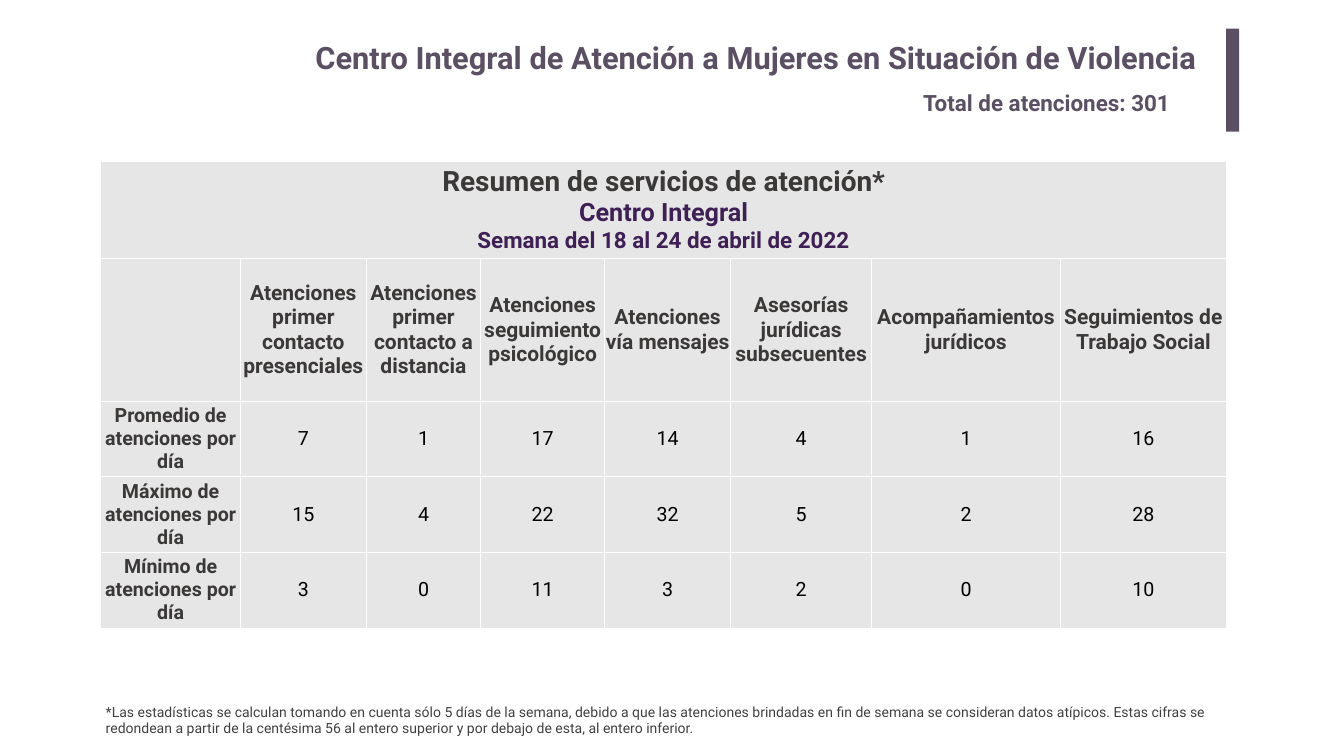
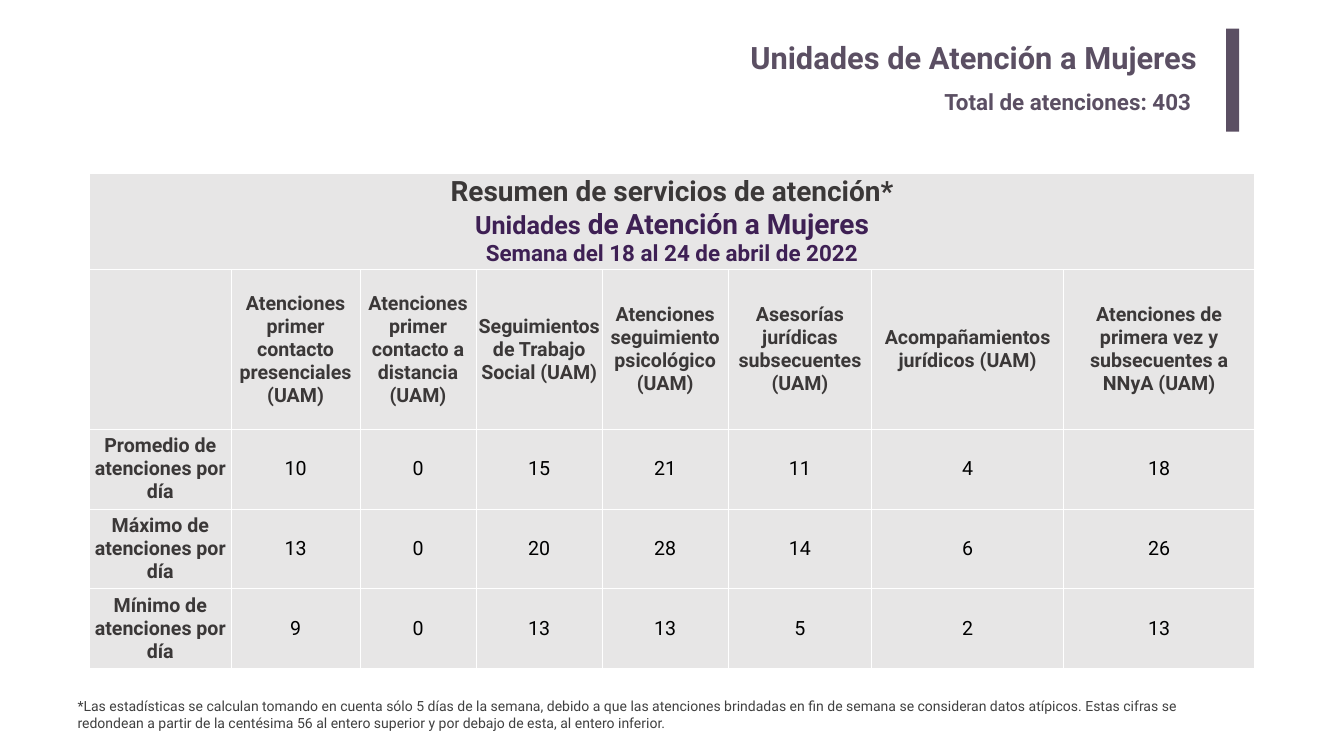
import collections
import dataclasses

import pptx
import pptx.dml.color
import pptx.enum.shapes
import pptx.enum.text
import pptx.oxml
import pptx.oxml.ns
import pptx.util

PX = 9144  # 100 px to the inch
ALIGN = pptx.enum.text.PP_ALIGN
ANCHOR = pptx.enum.text.MSO_ANCHOR
Box = collections.namedtuple("Box", "left top width height")


@dataclasses.dataclass(frozen=True)
class Theme:
    font: str = "Roboto"
    accent: str = "5B4F63"
    cell: str = "E7E6E6"
    border: str = "FFFFFF"
    heading: str = "3B3838"
    unit: str = "3E2054"
    value: str = "000000"
    note: str = "404040"
    title_size: int = 44
    banner_size: int = 40
    unit_size: int = 36
    subtitle_size: int = 32
    body_size: int = 28
    note_size: int = 20


THEME = Theme()

# Content shared by both slides
PERIOD = "Semana del 18 al 24 de abril de 2022"
ROW_LABELS = [f"{measure} de atenciones por día" for measure in ("Promedio", "Máximo", "Mínimo")]
FOOTNOTE = (
    "*Las estadísticas se calculan tomando en cuenta sólo 5 días de la semana, debido a que "
    "las atenciones brindadas en fin de semana se consideran datos atípicos. Estas cifras se "
    "redondean a partir de la centésima 56 al entero superior y por debajo de esta, al entero "
    "inferior."
)
HEADER_BOX = Box(366, 57, 2093, 204)

REPORTS = [
    dict(
        title="Centro Integral de Atención a Mujeres en Situación de Violencia",
        total=301,
        total_box=Box(1456, 114, 592, 64),
        unit=[("Centro Integral", THEME.unit_size)],
        table_box=Box(200, 321, 2233, 924),
        columns=[277, 250, 227, 246, 250, 280, 374, 330],
        rows=[192, 283, 150, 150, 150],
        service_size=30,
        services=[
            "Atenciones primer contacto presenciales",
            "Atenciones primer contacto a distancia",
            "Atenciones seguimiento psicológico",
            "Atenciones vía mensajes",
            "Asesorías jurídicas subsecuentes",
            "Acompañamientos jurídicos",
            "Seguimientos de Trabajo Social",
        ],
        values=[[7, 1, 17, 14, 4, 1, 16], [15, 4, 22, 32, 5, 2, 28], [3, 0, 11, 3, 2, 0, 10]],
        note_box=Box(200, 1390, 2233, 77),
    ),
    dict(
        title="Unidades de Atención a Mujeres",
        total=403,
        total_box=Box(1498, 112, 538, 64),
        unit=[("Unidades", THEME.unit_size), (" de Atención a Mujeres", THEME.banner_size)],
        table_box=Box(177, 344, 2313, 982),
        columns=[282, 255, 231, 250, 250, 285, 380, 380],
        rows=[191, 317, 158, 158, 158],
        service_size=28,
        services=[
            f"{service} (UAM)"
            for service in (
                "Atenciones primer contacto presenciales",
                "Atenciones primer contacto a distancia",
                "Seguimientos de Trabajo Social",
                "Atenciones seguimiento psicológico",
                "Asesorías jurídicas subsecuentes",
                "Acompañamientos jurídicos",
                "Atenciones de primera vez y subsecuentes a NNyA",
            )
        ],
        values=[[10, 0, 15, 21, 11, 4, 18], [13, 0, 20, 28, 14, 6, 26], [9, 0, 13, 13, 5, 2, 13]],
        note_box=Box(144, 1379, 2277, 77),
    ),
]


def rgb(colour):
    return pptx.dml.color.RGBColor.from_string(colour)


def emu(box):
    return [length * PX for length in box]


def inside(outer, box):
    """Shift a box by the corner of the one that holds it."""
    return Box(outer.left + box.left, outer.top + box.top, box.width, box.height)


def set_all(target, values):
    for name, value in values.items():
        setattr(target, name, value)


def margins(horizontal, vertical):
    return dict(
        margin_left=horizontal * PX,
        margin_right=horizontal * PX,
        margin_top=vertical * PX,
        margin_bottom=vertical * PX,
    )


def add_run(paragraph, text, size, colour, bold=True):
    run = paragraph.add_run()
    run.text = text
    set_all(run.font, dict(name=THEME.font, size=pptx.util.Pt(size), bold=bold))
    run.font.color.rgb = rgb(colour)


def write_line(slide, box, text, size, colour, bold):
    frame = slide.shapes.add_textbox(*emu(box)).text_frame
    set_all(frame, dict(word_wrap=True, **margins(10, 5)))
    add_run(frame.paragraphs[0], text, size, colour, bold)


def draw_header(slide, box, report):
    # Title
    title = slide.shapes.title
    place = emu(inside(box, Box(0, 10, 2030, 102)))
    set_all(title, dict(zip(("left", "top", "width", "height"), place)))
    set_all(
        title.text_frame,
        dict(
            word_wrap=True,
            auto_size=pptx.enum.text.MSO_AUTO_SIZE.NONE,
            vertical_anchor=ANCHOR.TOP,
            **margins(20, 10),
        ),
    )
    heading = title.text_frame.paragraphs[0]
    heading.alignment = ALIGN.RIGHT
    add_run(heading, report["title"], THEME.title_size, THEME.accent)

    # Total under the title
    write_line(slide, inside(box, report["total_box"]), f"Total de atenciones: {report['total']}",
               THEME.subtitle_size, THEME.accent, True)

    # Accent bar on the right edge
    bar_box = inside(box, Box(box.width - 26, 0, 26, box.height))
    bar = slide.shapes.add_shape(pptx.enum.shapes.MSO_SHAPE.RECTANGLE, *emu(bar_box))
    bar.shadow.inherit = False
    bar.fill.solid()
    bar.fill.fore_color.rgb = rgb(THEME.accent)
    bar.line.fill.background()


def format_cell(cell):
    set_all(cell, dict(vertical_anchor=ANCHOR.MIDDLE, **margins(0, 0)))
    properties = cell._tc.get_or_add_tcPr()
    for side in ("lnL", "lnR", "lnT", "lnB"):
        properties.append(pptx.oxml.parse_xml(
            f'<a:{side} {pptx.oxml.ns.nsdecls("a")} w="12700"><a:solidFill>'
            f'<a:srgbClr val="{THEME.border}"/></a:solidFill></a:{side}>'
        ))
    cell.fill.solid()
    cell.fill.fore_color.rgb = rgb(THEME.cell)


def fill_cell(cell, text, size, colour, bold=True):
    paragraph = cell.text_frame.paragraphs[0]
    paragraph.alignment = ALIGN.CENTER
    add_run(paragraph, text, size, colour, bold)


def draw_summary(slide, box, report):
    columns, rows = report["columns"], report["rows"]
    summary = slide.shapes.add_table(len(rows), len(columns), *emu(box)).table
    set_all(summary, dict(first_row=False, horz_banding=False))
    for column, width in zip(summary.columns, columns):
        column.width = width * PX
    for row, height in zip(summary.rows, rows):
        row.height = height * PX
    for cell in summary.iter_cells():
        format_cell(cell)

    # Banner across the top row
    banner = summary.cell(0, 0)
    banner.merge(summary.cell(0, len(columns) - 1))
    banner_lines = [
        (THEME.heading, [("Resumen de servicios de atención*", THEME.banner_size)]),
        (THEME.unit, report["unit"]),
        (THEME.unit, [(PERIOD, THEME.subtitle_size)]),
    ]
    for index, (colour, parts) in enumerate(banner_lines):
        frame = banner.text_frame
        paragraph = frame.add_paragraph() if index else frame.paragraphs[0]
        paragraph.alignment = ALIGN.CENTER
        for text, size in parts:
            add_run(paragraph, text, size, colour)

    # Services, then one row per measure
    for column, service in enumerate(report["services"], 1):
        fill_cell(summary.cell(1, column), service, report["service_size"], THEME.heading)
    for row, (label, values) in enumerate(zip(ROW_LABELS, report["values"]), 2):
        fill_cell(summary.cell(row, 0), label, THEME.body_size, THEME.heading)
        for column, value in enumerate(values, 1):
            fill_cell(summary.cell(row, column), str(value), THEME.body_size, THEME.value, False)


def build_report(deck, report):
    slide = deck.slides.add_slide(deck.slide_layouts.get_by_name("Title Only"))
    draw_summary(slide, report["table_box"], report)
    draw_header(slide, HEADER_BOX, report)
    write_line(slide, report["note_box"], FOOTNOTE, THEME.note_size, THEME.note, False)


def main():
    deck = pptx.Presentation()
    set_all(deck, dict(slide_width=2667 * PX, slide_height=1500 * PX))
    for report in REPORTS:
        build_report(deck, report)
    deck.save("out.pptx")


if __name__ == "__main__":
    main()
